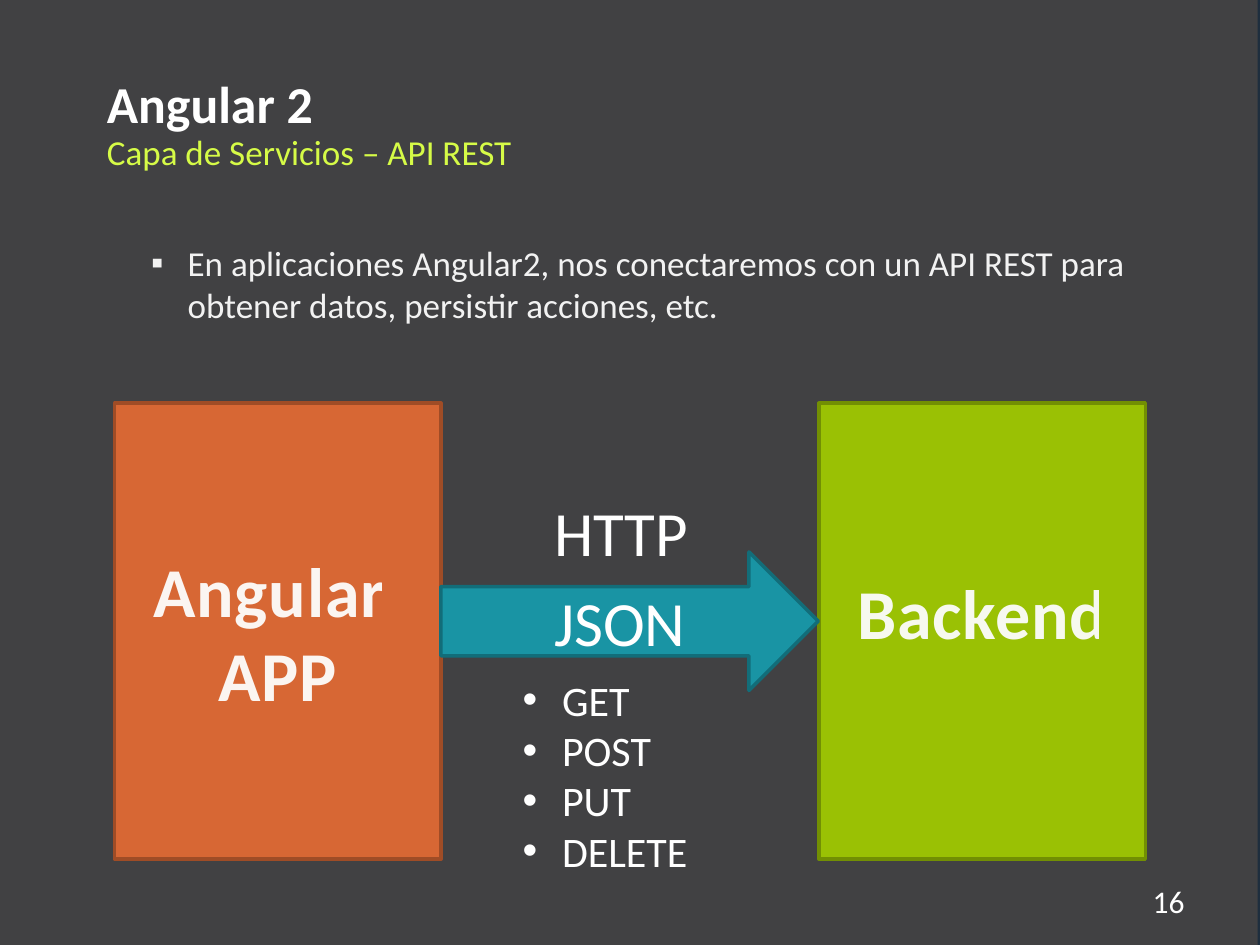
"""Build the slide on the REST service layer of an Angular 2 application."""
from pptx import Presentation
from pptx.dml.color import RGBColor
from pptx.enum.shapes import MSO_SHAPE
from pptx.enum.text import MSO_ANCHOR, PP_ALIGN
from pptx.oxml.ns import qn
from pptx.util import Pt
from lxml.etree import SubElement

FONT = "Calibri"
WHITE = RGBColor(0xFF, 0xFF, 0xFF)
PALE = RGBColor(0xF2, 0xF2, 0xF2)
CREAM = RGBColor(0xFD, 0xFD, 0xFC)
LIME = RGBColor(0xD6, 0xFB, 0x47)
NAVY = RGBColor(0x1E, 0x2E, 0x3E)
GRAY = RGBColor(0x41, 0x41, 0x43)
ORANGE = RGBColor(0xD7, 0x67, 0x34)
RUST = RGBColor(0x9F, 0x4C, 0x26)
GREEN = RGBColor(0x9A, 0xC1, 0x04)
OLIVE = RGBColor(0x72, 0x8F, 0x03)
TEAL = RGBColor(0x19, 0x94, 0xA4)
DEEP = RGBColor(0x12, 0x6D, 0x79)


def add_run(para, text, size, color, bold=False):
    run = para.add_run()
    run.text = text
    run.font.name = FONT
    run.font.size = Pt(size)
    run.font.bold = bold
    run.font.color.rgb = color
    return run


def add_bullet(para, mark, left, hang):
    props = para._p.get_or_add_pPr()
    props.set("marL", str(Pt(left)))
    props.set("indent", str(-Pt(hang)))
    SubElement(props, qn("a:buFont")).set("typeface", "Arial")
    SubElement(props, qn("a:buChar")).set("char", mark)


def add_text(slide, box, lines, size, color, bold=False,
             align=PP_ALIGN.LEFT, wrap=True, bullet=None):
    frame = slide.shapes.add_textbox(*map(Pt, box)).text_frame
    frame.word_wrap = wrap
    for i, line in enumerate(lines):
        para = frame.add_paragraph() if i else frame.paragraphs[0]
        para.alignment = align
        if bullet:
            add_bullet(para, *bullet)
        add_run(para, line, size, color, bold)


def add_block(slide, kind, box, fill, edge=None):
    shape = slide.shapes.add_shape(kind, *map(Pt, box))
    shape.shadow.inherit = False
    shape.fill.solid()
    shape.fill.fore_color.rgb = fill
    if edge is None:
        shape.line.fill.background()
    else:
        shape.line.color.rgb = edge
        shape.line.width = Pt(2)
    return shape


def add_tier(slide, left, lines, fill, edge, lift=0):
    box = (left, 230.4, 186.5, 260.6)
    frame = add_block(slide, MSO_SHAPE.RECTANGLE, box, fill, edge).text_frame
    frame.word_wrap = True
    frame.vertical_anchor = MSO_ANCHOR.MIDDLE
    frame.margin_bottom = Pt(3.6 + lift)
    for i, line in enumerate(lines):
        para = frame.add_paragraph() if i else frame.paragraphs[0]
        para.alignment = PP_ALIGN.CENTER
        props = add_run(para, line, 40, CREAM, True).font._element
        props.set("spc", "50")
        tint = props.find(".//" + qn("a:srgbClr"))
        SubElement(tint, qn("a:alpha")).set("val", "95000")


def main():
    deck = Presentation()
    deck.slide_width, deck.slide_height = Pt(720), Pt(540)
    slide = deck.slides.add_slide(deck.slide_layouts[6])
    slide.background.fill.solid()
    slide.background.fill.fore_color.rgb = NAVY
    add_block(slide, MSO_SHAPE.RECTANGLE, (0, 0, 718.6, 540), GRAY)

    add_text(slide, (54, 37.5, 459.4, 39.6), ["Angular 2"], 29.6, WHITE, True)
    add_text(slide, (614.9, 500.4, 69.1, 28.8), ["16"], 18, WHITE,
             align=PP_ALIGN.RIGHT)
    add_text(slide, (65.5, 134.6, 630, 329),
             ["En aplicaciones Angular2, nos conectaremos con un API REST "
              "para obtener datos, persistir acciones, etc."],
             20, PALE, bullet=("▪", 34.6, 20.9))
    add_text(slide, (54, 71.3, 630, 33.8), ["Capa de Servicios – API REST"],
             20, LIME)

    add_tier(slide, 65.5, ["Angular ", "APP"], ORANGE, RUST)
    add_tier(slide, 468, ["Backend"], GREEN, OLIVE, lift=22)
    add_block(slide, MSO_SHAPE.RIGHT_ARROW, (252, 315.4, 215.6, 79.2),
              TEAL, DEEP)
    add_text(slide, (309.6, 278.6, 91.4, 51.1), ["HTTP"], 36, WHITE,
             wrap=False)
    add_text(slide, (309.6, 329.8, 90.7, 51.1), ["JSON"], 36, WHITE,
             wrap=False)
    add_text(slide, (291.6, 381.6, 110.2, 123.8),
             ["GET", "POST", "PUT", "DELETE"], 24, WHITE, wrap=False,
             bullet=("•", 22.5, 22.5))
    deck.save("out.pptx")


if __name__ == "__main__":
    main()
